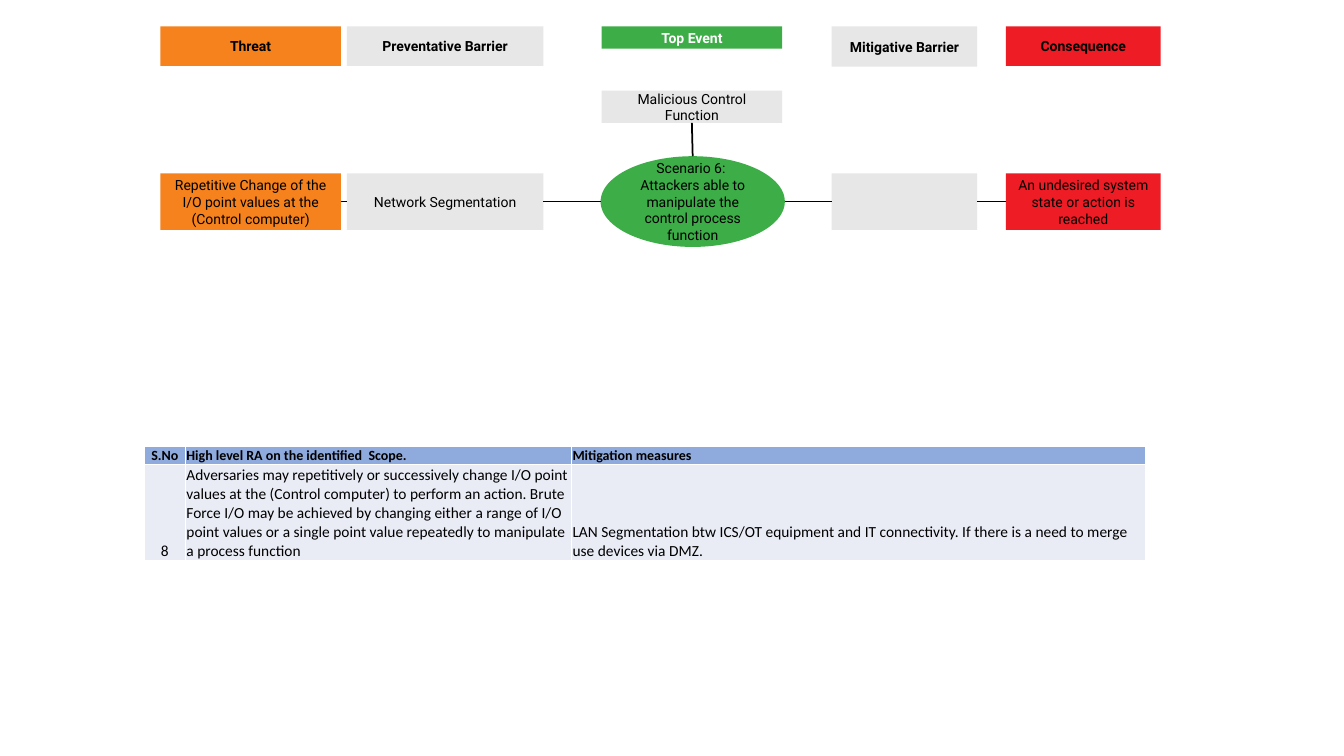
from itertools import pairwise

from lxml.etree import SubElement
from pptx import Presentation
from pptx.dml.color import RGBColor
from pptx.enum.shapes import MSO_CONNECTOR, MSO_SHAPE
from pptx.enum.text import MSO_ANCHOR, PP_ALIGN
from pptx.oxml.ns import qn
from pptx.util import Pt

BLACK, WHITE = "000000", "FFFFFF"
ORANGE, GRAY, GREEN, RED = "F6821D", "E7E7E8", "3DAD48", "EE1C25"
HEADER_BLUE, ROW_BLUE = "8FAADC", "E9EBF5"


def color(value):
    return RGBColor.from_string(value)


def write_text(text_frame, text, font="Roboto", size=10, bold=False,
               ink=BLACK, align=PP_ALIGN.CENTER):
    """Fill a text frame, with one paragraph for each line of text."""
    text_frame.word_wrap = True
    text_frame.text = text
    for paragraph in text_frame.paragraphs:
        paragraph.alignment = align
        for run in paragraph.runs:
            run.font.name = font
            run.font.size = Pt(size)
            run.font.bold = bold
            run.font.color.rgb = color(ink)


def add_cell_borders(cell, ink, width):
    properties = cell._tc.get_or_add_tcPr()
    for position, side in enumerate(("a:lnL", "a:lnR", "a:lnT", "a:lnB")):
        line = SubElement(properties, qn(side), w=str(Pt(width)))
        fill = SubElement(line, qn("a:solidFill"))
        SubElement(fill, qn("a:srgbClr"), val=ink)
        properties.insert(position, line)


class BowTieSlide:
    """Holds the current slide and the style of its boxes, lines and table."""

    line_width = 1.25
    border_width = 1
    cell_margin = 0.7

    def __init__(self, slide):
        self.slide = slide

    def box(self, left, top, width, height, fill, text="",
            kind=MSO_SHAPE.RECTANGLE, **text_format):
        shape = self.slide.shapes.add_shape(
            kind, Pt(left), Pt(top), Pt(width), Pt(height))
        shape.shadow.inherit = False
        shape.fill.solid()
        shape.fill.fore_color.rgb = color(fill)
        shape.line.fill.background()
        shape.text_frame.vertical_anchor = MSO_ANCHOR.MIDDLE
        if text:
            write_text(shape.text_frame, text, **text_format)
        return shape

    def line(self, start, end):
        connector = self.slide.shapes.add_connector(
            MSO_CONNECTOR.STRAIGHT, *start, *end)
        connector.line.color.rgb = color(BLACK)
        connector.line.width = Pt(self.line_width)
        SubElement(connector._element.spPr, qn("a:effectLst"))

    def table(self, left, top, widths, heights, rows):
        table = self.slide.shapes.add_table(
            len(rows), len(widths), Pt(left), Pt(top),
            Pt(sum(widths)), Pt(sum(heights))).table
        for column, width in zip(table.columns, widths):
            column.width = Pt(width)
        for row_index, (height, texts) in enumerate(zip(heights, rows)):
            table.rows[row_index].height = Pt(height)
            for column_index, text in enumerate(texts):
                self.cell(table.cell(row_index, column_index), text,
                          is_header=row_index == 0,
                          is_number=column_index == 0)

    def cell(self, cell, text, is_header, is_number):
        cell.fill.solid()
        cell.fill.fore_color.rgb = color(HEADER_BLUE if is_header else ROW_BLUE)
        cell.vertical_anchor = MSO_ANCHOR.BOTTOM
        cell.margin_left = cell.margin_right = Pt(self.cell_margin)
        cell.margin_top, cell.margin_bottom = Pt(self.cell_margin), 0
        write_text(cell.text_frame, text, font="Calibri",
                   size=10 if is_header else 11, bold=is_header,
                   align=PP_ALIGN.CENTER if is_number else PP_ALIGN.LEFT)
        add_cell_borders(cell, WHITE, self.border_width)


def main():
    presentation = Presentation()
    presentation.slide_width, presentation.slide_height = Pt(960), Pt(540)
    bow_tie = BowTieSlide(
        presentation.slides.add_slide(presentation.slide_layouts[6]))

    threat, prevention = (114.5, 129), (247.7, 140.4)
    event, mitigation, consequence = (429.7, 129), (594, 104), (718.5, 110.6)

    headings = [
        (threat, 28.2, ORANGE, "Threat", BLACK),
        (prevention, 28.2, GRAY, "Preventative Barrier", BLACK),
        (event, 16, GREEN, "Top Event", WHITE),
        (mitigation, 28.8, GRAY, "Mitigative Barrier", BLACK),
        (consequence, 28.2, RED, "Consequence", BLACK),
    ]
    for (left, width), height, fill, text, ink in headings:
        bow_tie.box(left, 18.8, width, height, fill, text, bold=True, ink=ink)

    def chain_box(column, fill, text=""):
        left, width = column
        return bow_tie.box(left, 123.8, width, 40.4, fill, text)

    scenario = bow_tie.box(
        429, 111.6, 131.6, 64.8, GREEN,
        "Scenario 6: \nAttackers able to manipulate the control process function",
        kind=MSO_SHAPE.OVAL)
    chain = [
        chain_box(threat, ORANGE, "Repetitive Change of the I/O point values "
                                  "at the (Control computer)"),
        chain_box(prevention, GRAY, "Network Segmentation"),
        scenario,
        chain_box(mitigation, GRAY),
        chain_box(consequence, RED,
                  "An undesired system state or action is reached"),
    ]
    for before, after in pairwise(chain):
        bow_tie.line((before.left + before.width, Pt(144)),
                     (after.left, Pt(144)))

    function = bow_tie.box(event[0], 64.8, event[1], 23, GRAY,
                           "Malicious Control Function")
    bow_tie.line((function.left + function.width // 2,
                  function.top + function.height),
                 (scenario.left + scenario.width // 2, scenario.top))

    bow_tie.table(103, 319, [29.5, 275.8, 409.7], [12.8, 68.4], [
        ["S.No", "High level RA on the identified  Scope.",
         "Mitigation measures"],
        ["8",
         "Adversaries may repetitively or successively change I/O point values "
         "at the (Control computer) to perform an action. Brute Force I/O may "
         "be achieved by changing either a range of I/O point values or a "
         "single point value repeatedly to manipulate a process function",
         "LAN Segmentation btw ICS/OT equipment and IT connectivity. If there "
         "is a need to merge use devices via DMZ."],
    ])
    presentation.save("out.pptx")


if __name__ == "__main__":
    main()
